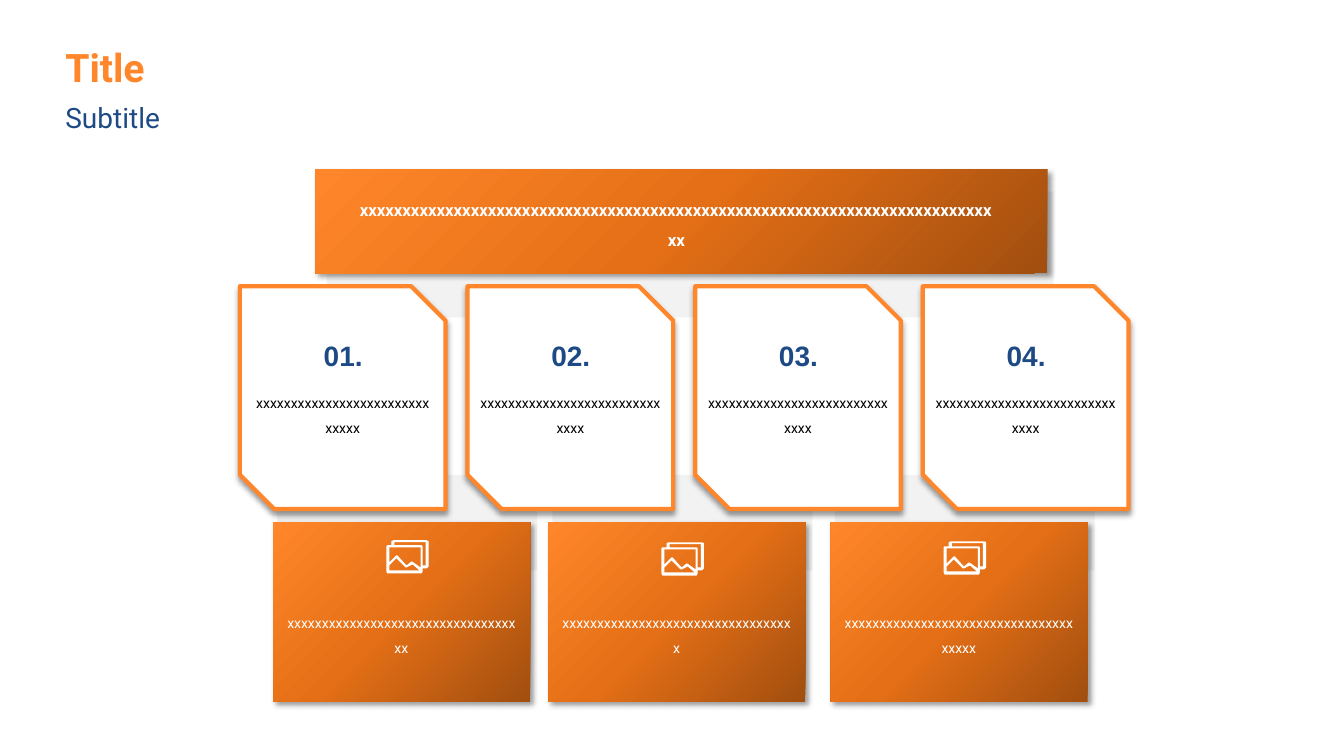
from copy import deepcopy
from lxml import etree
from pptx import Presentation
from pptx.dml.color import RGBColor
from pptx.enum import shapes, text
from pptx.oxml import ns
from pptx.util import Pt

ORANGE = RGBColor(0xFF, 0x86, 0x2A)
AMBER = RGBColor(0xE4, 0x6F, 0x16)
BROWN = RGBColor(0xA1, 0x4E, 0x0F)
NAVY = RGBColor(0x1D, 0x4A, 0x84)
GREY = RGBColor(0xF2, 0xF2, 0xF2)
WHITE = RGBColor(0xFF, 0xFF, 0xFF)
BLACK = RGBColor(0, 0, 0)

TITLE = "Title"
SUBTITLE = "Subtitle"
BANNER = "xxxxxxxxxxxxxxxxxxxxxxxxxxxxxxxxxxxxxxxxxxxxxxxxxxxxxxxxxxxxxxxxxxxxxxxxxxxx"
CARDS = [
    ("01.", "xxxxxxxxxxxxxxxxxxxxxxxxxxxxxx", 139.68),
    ("02.", "xxxxxxxxxxxxxxxxxxxxxxxxxxxxxx", 143.28),
    ("03.", "xxxxxxxxxxxxxxxxxxxxxxxxxxxxxx", 146.88),
    ("04.", "xxxxxxxxxxxxxxxxxxxxxxxxxxxxxx", 146.88),
]
TILES = [
    (195.12, 385.92, "xxxxxxxxxxxxxxxxxxxxxxxxxxxxxxxxxxx"),
    (391.68, 387.36, "xxxxxxxxxxxxxxxxxxxxxxxxxxxxxxxxxx"),
    (593.28, 386.64, "xxxxxxxxxxxxxxxxxxxxxxxxxxxxxxxxxxxxxx"),
]
ICON = [
    [(40, 0), (7, 0), (5, 1), (5, 5), (1, 5), (0, 6), (0, 31), (1, 33),
     (35, 33), (36, 31), (36, 28), (40, 28), (42, 26), (42, 1)],
    [(34, 7), (34, 27), (27, 22), (25, 21), (20, 25), (11, 15), (10, 15),
     (3, 22), (3, 7)],
    [(3, 25), (10, 18), (19, 27), (20, 27), (26, 24), (33, 30), (3, 30)],
    [(39, 25), (36, 25), (36, 6), (35, 5), (8, 5), (8, 2), (39, 2)],
]
CARD_LEFT, CARD_STEP, CARD_WIDTH = 171.36, 162.6, 146.88

deck = Presentation()
deck.slide_width, deck.slide_height = Pt(960), Pt(540)
slide = deck.slides.add_slide(deck.slide_layouts[6])


def add_box(kind, box, color):
    shape = slide.shapes.add_shape(kind, *map(Pt, box))
    shape.shadow.inherit = False
    shape.fill.solid()
    shape.fill.fore_color.rgb = color
    shape.line.fill.background()
    return shape


def add_shadow(shape, angle):
    effect = shape._element.spPr.find(ns.qn("a:effectLst"))
    outer = etree.SubElement(
        effect, ns.qn("a:outerShdw"), blurRad=str(Pt(4)), dist=str(Pt(3)),
        dir=str(angle * 60000), algn="ctr", rotWithShape="0")
    color = etree.SubElement(outer, ns.qn("a:srgbClr"), val="000000")
    etree.SubElement(color, ns.qn("a:alpha"), val="40000")


def add_panel(box):
    panel = add_box(shapes.MSO_SHAPE.RECTANGLE, box, ORANGE)
    panel.fill.gradient()
    panel.fill.gradient_angle = 135
    stops = panel._element.spPr.find(".//" + ns.qn("a:gsLst"))
    stops.append(deepcopy(stops[0]))
    shades = zip(panel.fill.gradient_stops, (0, 0.5, 1), (BROWN, AMBER, ORANGE))
    for stop, place, color in shades:
        stop.position = place
        stop.color.rgb = color
    add_shadow(panel, 45)


def add_text(words, box, size, color, bold=False, font="Roboto", space=1.5,
             align=text.PP_ALIGN.CENTER, wrap=True, grow=True):
    frame = slide.shapes.add_textbox(*map(Pt, box)).text_frame
    frame.word_wrap = wrap
    if grow:
        frame.auto_size = text.MSO_AUTO_SIZE.SHAPE_TO_FIT_TEXT
    para = frame.paragraphs[0]
    para.text = words
    para.alignment = align
    para.line_spacing = space
    para.font.name, para.font.size = font, Pt(size)
    para.font.bold = bold
    para.font.color.rgb = color
    return frame


def add_icon(left, top):
    first, *rest = ICON
    path = slide.shapes.build_freeform(*first[0], scale=Pt(0.72))
    path.add_line_segments(first[1:])
    for ring in rest:
        path.move_to(*ring[0])
        path.add_line_segments(ring[1:])
    icon = path.convert_to_shape(Pt(left), Pt(top))
    icon.shadow.inherit = False
    icon.fill.solid()
    icon.fill.fore_color.rgb = WHITE
    icon.line.fill.background()


for left, top, words in TILES:
    add_box(shapes.MSO_SHAPE.RECTANGLE, (left + 2.88, 339.12, 185.76, 68.4), GREY)
    add_panel((left, 372.96, 183.6, 128.16))
    add_text(words, (left + 2.3, 429.12, 178.56, 41.76), 10, WHITE)
    add_icon(left + 80.8, top)

add_box(shapes.MSO_SHAPE.RECTANGLE, (233.28, 136.8, 519.12, 90), GREY)
add_panel((225.36, 120.96, 522.72, 74.16))
add_text(BANNER, (249.12, 131.76, 468, 48.96), 12, WHITE, bold=True)

for i, (number, words, width) in enumerate(CARDS):
    left = CARD_LEFT + i * CARD_STEP
    card = add_box(shapes.MSO_SHAPE.SNIP_2_DIAG_RECTANGLE,
                   (left, 204.48, CARD_WIDTH, 159.12), WHITE)
    card.line.color.rgb = ORANGE
    card.line.width = Pt(3)
    add_shadow(card, 90)
    add_text(words, (left + (CARD_WIDTH - width) / 2, 272.16, width, 41.76),
             10, BLACK)
    frame = add_text(number, (left + 44.64, 234, 58.32, 43.2), 20, NAVY,
                     bold=True, font="Arial", space=0.9, grow=False)
    frame.vertical_anchor = text.MSO_ANCHOR.MIDDLE
    frame.margin_top = frame.margin_bottom = Pt(7.2)

for words, box, size, color, bold in [
    (TITLE, (39.6, 27.36, 72, 41.04), 28, ORANGE, True),
    (SUBTITLE, (39.6, 68.4, 82.08, 31.68), 20, NAVY, False),
]:
    add_text(words, box, size, color, bold, space=1,
             align=text.PP_ALIGN.LEFT, wrap=False)

deck.save("out.pptx")
